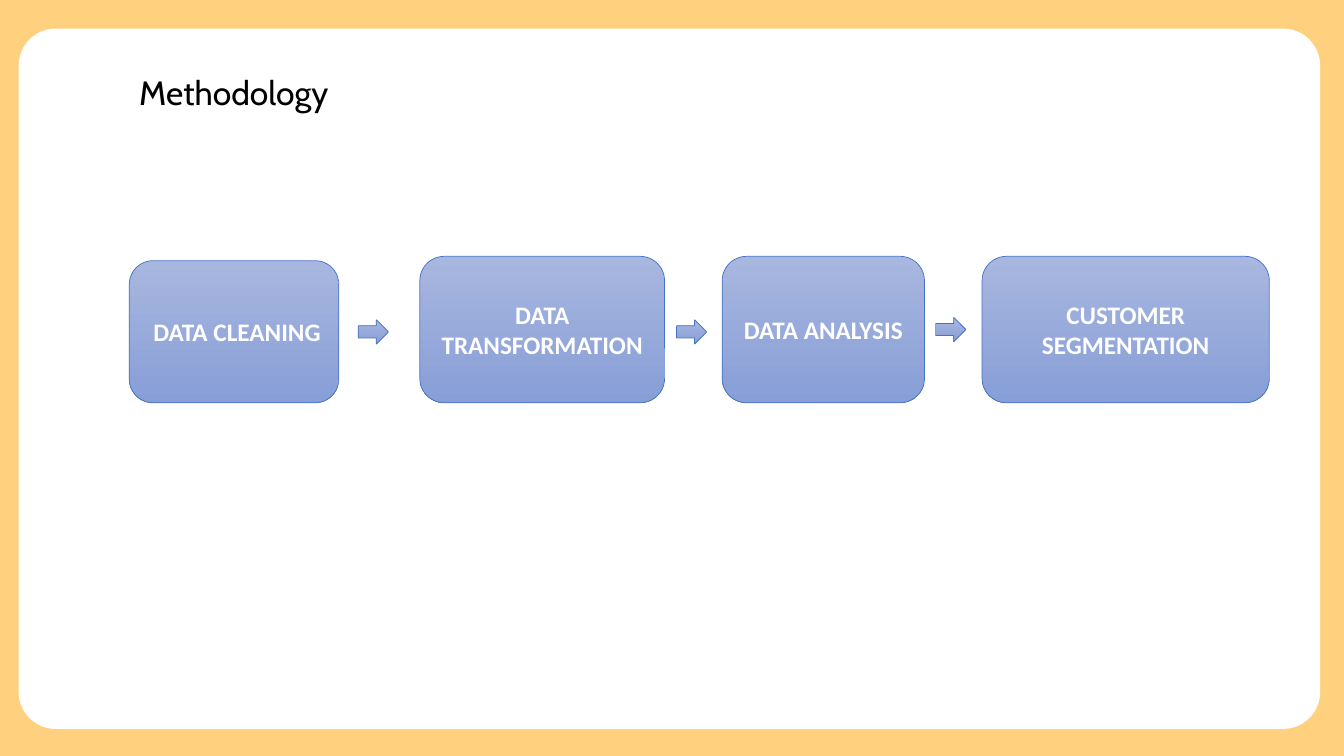
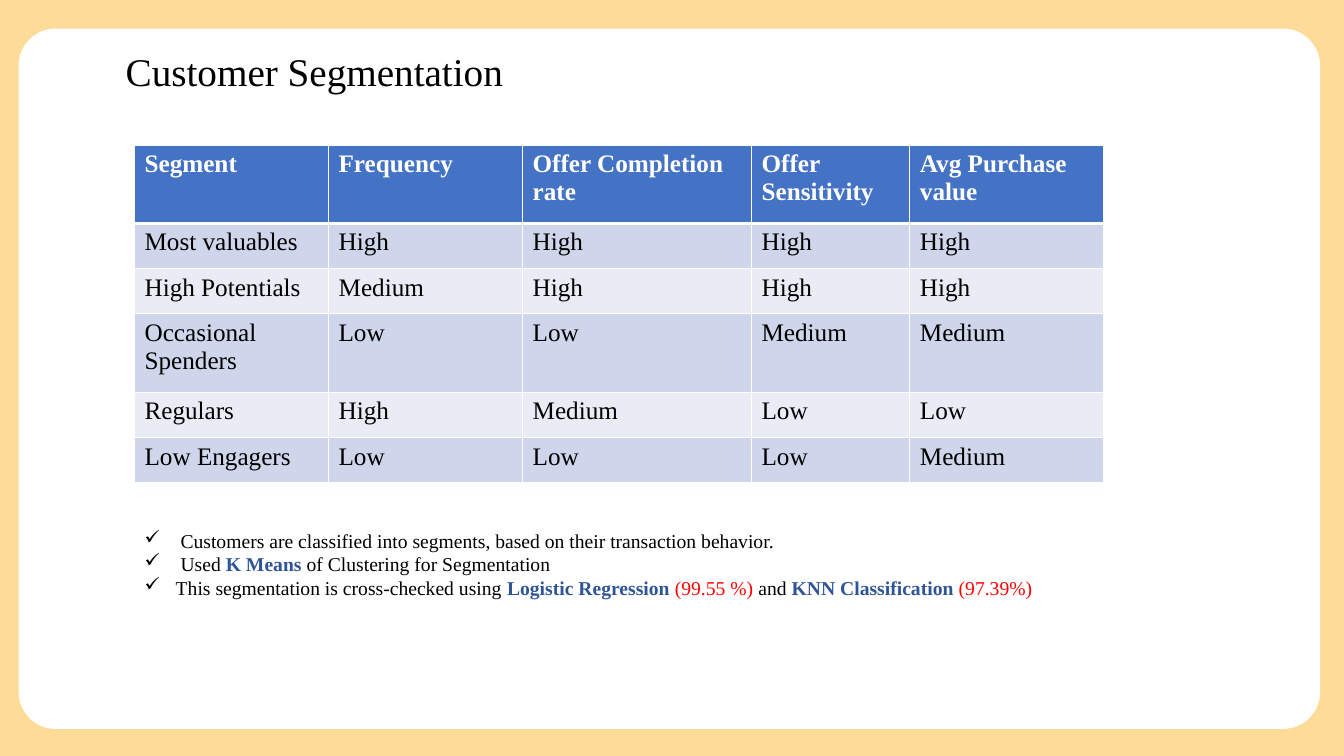
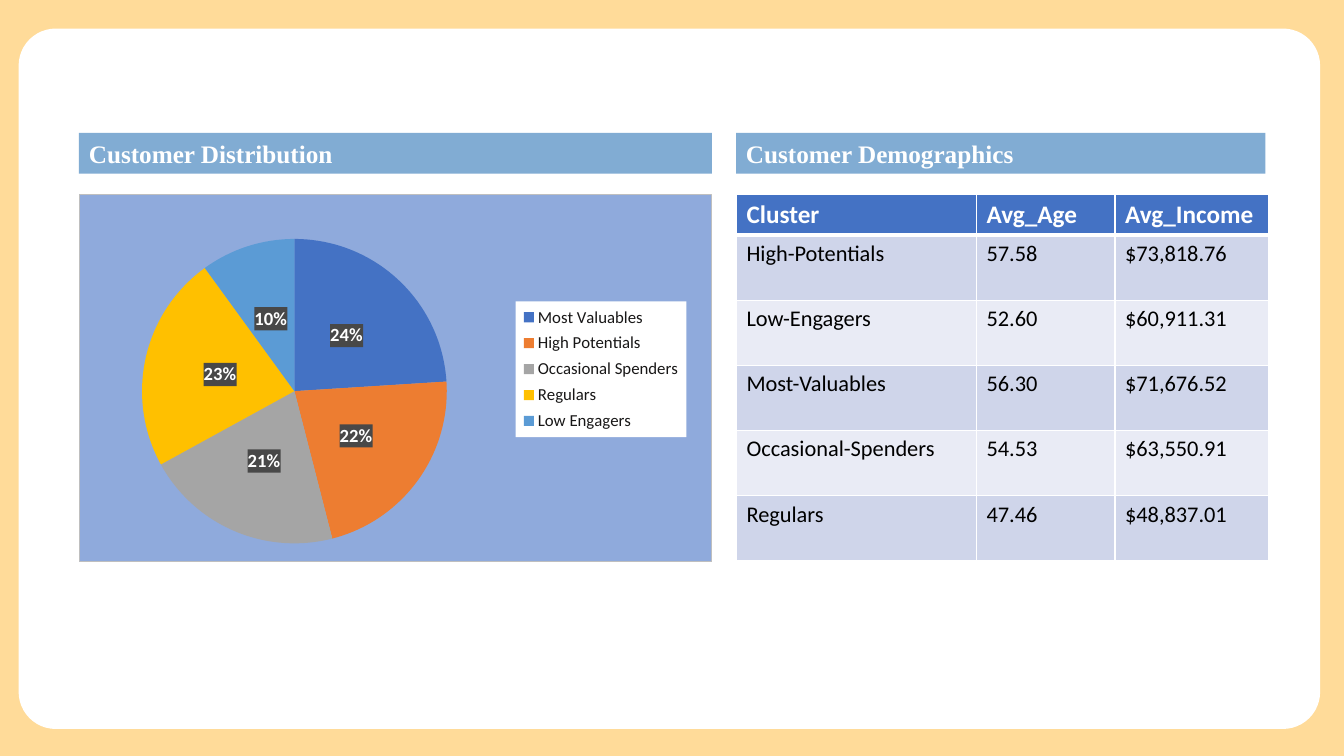
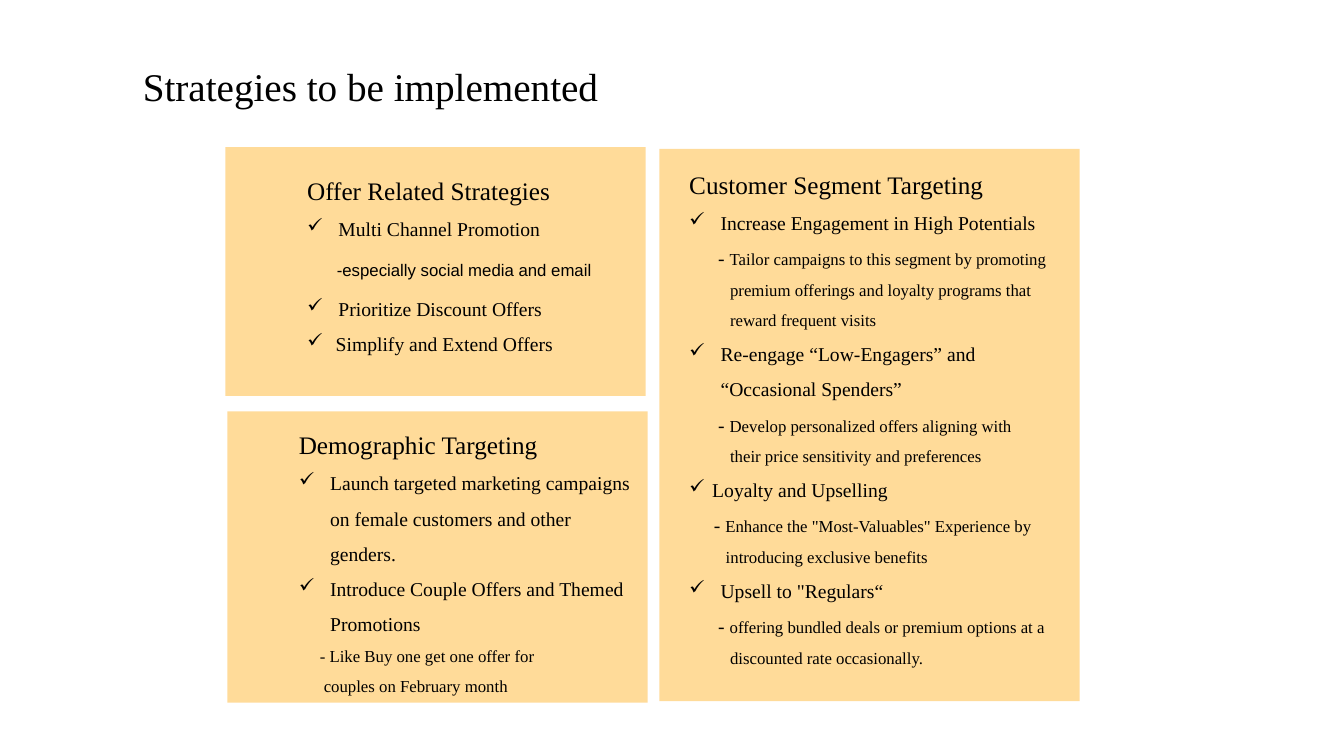
import dataclasses

import lxml.etree
import pptx
import pptx.chart.data
import pptx.dml.color
import pptx.enum.chart
import pptx.enum.shapes
import pptx.enum.text
import pptx.oxml
import pptx.oxml.ns
import pptx.util

Cm = pptx.util.Cm
Pt = pptx.util.Pt
qn = pptx.oxml.ns.qn
SHAPES = pptx.enum.shapes.MSO_SHAPE
ALIGN = pptx.enum.text.PP_ALIGN
ANCHOR = pptx.enum.text.MSO_ANCHOR

SERIF, SANS = "Times New Roman", "Calibri"
BLACK, WHITE = "000000", "FFFFFF"
ORANGE, BLUE, NAVY, RED = "FFA500", "4472C4", "2F5597", "FF0000"
BAR_BLUE = "2E75B6"
BANDS = ("CFD5EA", "E9EBF5")
GRADIENT = ("A8B7DF", "889ED7")
PIE_COLOURS = (BLUE, "ED7D31", "A5A5A5", "FFC000", "5B9BD5")
CARD_ALPHA = 40


@dataclasses.dataclass
class Line:
    """A paragraph; runs is a string or a list of (text, font settings)."""
    runs: object
    size: float = 14
    left: float = 0
    hanging: float = 0
    bullet: bool = False
    before: float = 0
    spacing: float = 1.5
    font: str = SERIF


def rgb(colour):
    return pptx.dml.color.RGBColor.from_string(colour)


def set_font(font, name=None, size=None, colour=None, bold=None):
    if name:
        font.name = name
    if size:
        font.size = Pt(size)
    if colour:
        font.color.rgb = rgb(colour)
    if bold is not None:
        font.bold = bold


def paint(fill, element, colour, alpha=100):
    """Fill with a solid colour; alpha is the opacity in percent."""
    fill.solid()
    fill.fore_color.rgb = rgb(colour)
    if alpha < 100:
        node = next(element.iter(qn("a:srgbClr")))
        lxml.etree.SubElement(node, qn("a:alpha")).set("val", str(alpha * 1000))


def add_shape(slide, kind, left, top, width, height):
    shape = slide.shapes.add_shape(kind, Cm(left), Cm(top), Cm(width), Cm(height))
    shape.shadow.inherit = False
    return shape


def add_block(slide, left, top, width, height, colour, alpha=100, kind=SHAPES.RECTANGLE):
    shape = add_shape(slide, kind, left, top, width, height)
    paint(shape.fill, shape.element.spPr, colour, alpha)
    shape.line.fill.background()
    return shape


def add_glossy(slide, kind, left, top, width, height):
    """Add a shape with the vertical blue gradient and a thin outline."""
    shape = add_shape(slide, kind, left, top, width, height)
    shape.fill.gradient()
    shape.fill.gradient_angle = 270
    for stop, colour in zip(shape.fill.gradient_stops, GRADIENT):
        stop.color.rgb = rgb(colour)
    shape.line.color.rgb = rgb(BLUE)
    shape.line.width = Pt(0.5)
    return shape


def add_text(slide, left, top, width, height, lines):
    box = slide.shapes.add_textbox(Cm(left), Cm(top), Cm(width), Cm(height))
    frame = box.text_frame
    frame.word_wrap = True
    frame.auto_size = pptx.enum.text.MSO_AUTO_SIZE.SHAPE_TO_FIT_TEXT
    for index, line in enumerate(lines):
        paragraph = frame.add_paragraph() if index else frame.paragraphs[0]
        write_line(paragraph, line)


def write_line(paragraph, line):
    set_font(paragraph.font, line.font, line.size, BLACK)
    paragraph.line_spacing = line.spacing
    paragraph.space_before = Pt(line.before)
    runs = [(line.runs, {})] if isinstance(line.runs, str) else line.runs
    for text, settings in runs:
        run = paragraph.add_run()
        run.text = text
        set_font(run.font, **settings)
    properties = paragraph._p.get_or_add_pPr()
    properties.set("marL", str(Cm(line.left)))
    properties.set("indent", str(-Cm(line.hanging)))
    if line.bullet:
        # In Wingdings, ü is the check mark.
        for tag in ('buFont typeface="Wingdings" charset="2"', 'buChar char="ü"'):
            properties.find(qn("a:defRPr")).addprevious(
                pptx.oxml.parse_xml(f'<a:{tag} {pptx.oxml.ns.nsdecls("a")}/>'))


def add_title(slide, left, top, text, font=SERIF, size=28):
    add_text(slide, left, top, 22.8, 1.45, [Line(text, size, spacing=1, font=font)])


def add_slide(presentation, alpha=None):
    """Add a slide; with alpha, a white panel on an orange background."""
    slide = presentation.slides.add_slide(presentation.slide_layouts[6])
    if alpha:
        fill = slide.background.fill
        paint(fill, slide.element.find(".//" + qn("p:bg")), ORANGE, alpha)
        panel = add_block(slide, 0.47, 0.72, 32.8, 17.65, WHITE, kind=SHAPES.ROUNDED_RECTANGLE)
        panel.adjustments[0] = 0.053
    return slide


def set_borders(cell, bottom):
    properties = cell._tc.get_or_add_tcPr()
    for side, width in (("L", 1), ("R", 1), ("T", 1), ("B", bottom)):
        properties.append(pptx.oxml.parse_xml(
            f'<a:ln{side} {pptx.oxml.ns.nsdecls("a")} w="{Pt(width)}"><a:solidFill>'
            f'<a:srgbClr val="{WHITE}"/></a:solidFill></a:ln{side}>'))


def add_table(slide, left, top, widths, heights, rows, font, body_size):
    table = slide.shapes.add_table(len(rows), len(widths), Cm(left), Cm(top),
                                   Cm(sum(widths)), Cm(sum(heights))).table
    for column, width in zip(table.columns, widths):
        column.width = Cm(width)
    for index, (row, height, texts) in enumerate(zip(table.rows, heights, rows)):
        row.height = Cm(height)
        header = index == 0
        for cell, text in zip(row.cells, texts):
            set_borders(cell, 3 if header else 1)
            cell.fill.solid()
            cell.fill.fore_color.rgb = rgb(BLUE if header else BANDS[(index - 1) % 2])
            cell.text = text
            for paragraph in cell.text_frame.paragraphs:
                set_font(paragraph.font, font, 18 if header else body_size,
                         WHITE if header else BLACK, header)


def add_flow(slide, left, top, height):
    steps = (("DATA CLEANING", 0, 5.28, 3.58, 0.4),
             ("DATA TRANSFORMATION", 7.32, 6.17, height, 0.25),
             ("DATA ANALYSIS", 14.94, 5.1, height, 0.25),
             ("CUSTOMER SEGMENTATION", 21.49, 7.24, height, 0.25))
    for text, offset, width, step_height, margin in steps:
        step = add_glossy(slide, SHAPES.ROUNDED_RECTANGLE, left + offset,
                          top + height - step_height, width, step_height)
        step.text_frame.margin_left = Cm(margin)
        step.text_frame.vertical_anchor = ANCHOR.MIDDLE
        paragraph = step.text_frame.paragraphs[0]
        paragraph.text = text
        paragraph.alignment = ALIGN.CENTER
        set_font(paragraph.font, SANS, 18, WHITE, True)
    for offset, drop in ((5.77, 1.6), (13.79, 1.6), (20.32, 1.54)):
        add_glossy(slide, SHAPES.RIGHT_ARROW, left + offset, top + drop, 0.76, 0.61)


def add_bar(slide, left, top, width, text):
    bar = add_block(slide, left, top, width, 1.03, BAR_BLUE, 60)
    bar.text_frame.vertical_anchor = ANCHOR.TOP
    paragraph = bar.text_frame.paragraphs[0]
    paragraph.text = text
    paragraph.alignment = ALIGN.LEFT
    set_font(paragraph.font, SERIF, 18, WHITE, True)


def shade(parent, colour, border=None):
    """Give a chart part, whose font is already set, a fill and a border."""
    line = f'<a:solidFill><a:srgbClr val="{border}"/></a:solidFill>' if border else "<a:noFill/>"
    parent.find(qn("c:txPr")).addprevious(pptx.oxml.parse_xml(
        f'<c:spPr {pptx.oxml.ns.nsdecls("c", "a")}><a:solidFill><a:srgbClr val="{colour}"/>'
        f'</a:solidFill><a:ln w="{Pt(0.75)}">{line}</a:ln></c:spPr>'))


def make_layout(x, y, width, height, inner=False):
    values = [("xMode", "edge"), ("yMode", "edge"), ("x", x), ("y", y), ("w", width), ("h", height)]
    if inner:
        values.insert(0, ("layoutTarget", "inner"))
    body = "".join(f'<c:{name} val="{value}"/>' for name, value in values)
    return pptx.oxml.parse_xml(f'<c:layout {pptx.oxml.ns.nsdecls("c")}>'
                               f'<c:manualLayout>{body}</c:manualLayout></c:layout>')


def remove_layout(parent):
    for layout in parent.findall(qn("c:layout")):
        parent.remove(layout)


def add_pie(slide, left, top, width, height):
    data = pptx.chart.data.CategoryChartData()
    data.categories = ["Most Valuables", "High Potentials", "Occasional Spenders",
                       "Regulars", "Low Engagers"]
    data.add_series("Series 1", (24, 22, 21, 23, 10))
    chart = slide.shapes.add_chart(pptx.enum.chart.XL_CHART_TYPE.PIE, Cm(left), Cm(top),
                                   Cm(width), Cm(height), data).chart
    chart.has_title = False
    set_font(chart.font, SANS, 10, WHITE)
    space = chart.element
    shade(space, "8FAADC", "BFBFBF")
    area = next(space.iter(qn("c:plotArea")))
    remove_layout(area)
    area.insert(0, make_layout(0, 0.12, 0.68, 0.83, inner=True))

    plot = chart.plots[0]
    plot.vary_by_categories = True
    for index, colour in enumerate(PIE_COLOURS):
        fill = plot.series[0].points[index].format.fill
        fill.solid()
        fill.fore_color.rgb = rgb(colour)
    plot.has_data_labels = True
    labels = plot.data_labels
    labels.show_percentage = True
    labels.show_value = False
    labels.number_format = "0%"
    labels.number_format_is_linked = False
    labels.position = pptx.enum.chart.XL_LABEL_POSITION.CENTER
    set_font(labels.font, SANS, 13.3, WHITE, True)
    shade(next(space.iter(qn("c:dLbls"))), "484848")

    chart.has_legend = True
    chart.legend.position = pptx.enum.chart.XL_LEGEND_POSITION.RIGHT
    chart.legend.include_in_layout = False
    set_font(chart.legend.font, SANS, 12, "181717")
    legend = next(space.iter(qn("c:legend")))
    remove_layout(legend)
    legend.find(qn("c:legendPos")).addnext(make_layout(0.69, 0.29, 0.27, 0.37))
    shade(legend, WHITE)


def add_card(slide, left, top, width, height, inset, drop, heading, lines):
    """Add an orange card whose text starts inset and drop from its corner."""
    add_block(slide, left, top, width, height, ORANGE, CARD_ALPHA)
    add_text(slide, left + inset, top + drop, width - inset, height,
             [Line(heading, 18)] + lines)


def checked(runs, left=0.79, before=0, spacing=1.5):
    return Line(runs, left=left, hanging=left, bullet=True, before=before, spacing=spacing)


def dashed(*texts, left=1.03):
    """Lines of one point, the first led by a larger dash."""
    first = Line([("- ", {}), (texts[0], {"size": 12})], left=left, hanging=0.3)
    return [first] + [Line(text, 12, left=left) for text in texts[1:]]


def build_methodology(presentation):
    slide = add_slide(presentation, 50)
    add_title(slide, 3.26, 1.68, "Methodology", "Cabin", 24)
    add_flow(slide, 3.26, 6.46, 3.69)


def build_segmentation(presentation):
    slide = add_slide(presentation, 40)
    add_title(slide, 2.92, 1.07, "Customer Segmentation")
    add_table(slide, 3.39, 3.66, (4.89, 4.89, 5.77, 3.99, 4.88),
              (1.97, 1.14, 1.14, 1.98, 1.14, 1.13), (
        ("Segment", "Frequency", "Offer Completion rate", "Offer\nSensitivity", "Avg Purchase value"),
        ("Most valuables", "High", "High", "High", "High"),
        ("High Potentials", "Medium", "High", "High", "High"),
        ("Occasional\nSpenders", "Low", "Low", "Medium", "Medium"),
        ("Regulars", "High", "Medium", "Low", "Low"),
        ("Low Engagers", "Low", "Low", "Low", "Medium")), SERIF, 18)
    method = {"colour": NAVY, "bold": True}
    score = {"colour": RED}
    add_text(slide, 3.39, 13.2, 28.88, 2.08, [
        checked("Customers are classified into segments, based on their transaction behavior.",
                0.91, spacing=1),
        checked([("Used ", {}), ("K Means ", method), ("of Clustering for Segmentation", {})],
                0.91, spacing=1),
        checked([("This segmentation is cross-checked using ", {}),
                 ("Logistic Regression ", method), ("(99.55 %) ", score), ("and ", {}),
                 ("KNN Classification ", method), ("(97.39%)", score)], spacing=1)])


def build_distribution(presentation):
    slide = add_slide(presentation, 40)
    add_bar(slide, 1.99, 3.35, 15.95, "Customer Distribution")
    add_pie(slide, 1.99, 4.9, 15.96, 9.27)
    add_bar(slide, 18.55, 3.35, 13.34, "Customer Demographics")
    add_table(slide, 18.56, 4.9, (6.05, 3.49, 3.86), [1.03] + [1.64] * 5, (
        ("Cluster", "Avg_Age", "Avg_Income"),
        ("High-Potentials", "57.58", "$73,818.76"),
        ("Low-Engagers", "52.60", "$60,911.31"),
        ("Most-Valuables", "56.30", "$71,676.52"),
        ("Occasional-Spenders", "54.53", "$63,550.91"),
        ("Regulars", "47.46", "$48,837.01")), SANS, 16)


def build_strategies(presentation):
    slide = add_slide(presentation)
    add_title(slide, 3.35, 1.45, "Strategies to be implemented")
    add_card(slide, 5.68, 3.71, 10.59, 6.27, 1.81, 0.2, "Offer Related Strategies", [
        checked("Multi Channel Promotion"),
        Line("-especially social media and email", 12, left=0.75, before=6.5, font="Arial"),
        checked("Prioritize Discount Offers", before=3.5),
        checked("Simplify and Extend Offers", left=0.72)])
    add_card(slide, 5.73, 10.37, 10.59, 7.34, 1.55, -0.06, "Demographic Targeting", [
        checked("Launch targeted marketing campaigns on female customers and other genders."),
        checked("Introduce Couple Offers and Themed Promotions"),
        Line("- Like Buy one get one offer for", 12, left=0.53),
        Line("couples on February month", 12, left=0.63)])
    add_card(slide, 16.62, 3.75, 10.59, 13.92, 0.5, 0, "Customer Segment Targeting", [
        checked("Increase Engagement in High Potentials"),
        *dashed("Tailor campaigns to this segment by promoting",
                "premium offerings and loyalty programs that", "reward frequent visits"),
        checked("Re-engage “Low-Engagers” and “Occasional Spenders”"),
        *dashed("Develop personalized offers aligning with", "their price sensitivity and preferences"),
        checked("Loyalty and Upselling", left=0.58),
        *dashed("Enhance the \"Most-Valuables\" Experience by", "introducing exclusive benefits",
                left=0.92),
        checked("Upsell to \"Regulars“"),
        *dashed("offering bundled deals or premium options at a", "discounted rate occasionally.")])


def main():
    presentation = pptx.Presentation()
    presentation.slide_width = Cm(33.87)
    presentation.slide_height = Cm(19.05)
    build_methodology(presentation)
    build_segmentation(presentation)
    build_distribution(presentation)
    build_strategies(presentation)
    presentation.save("out.pptx")


if __name__ == "__main__":
    main()
